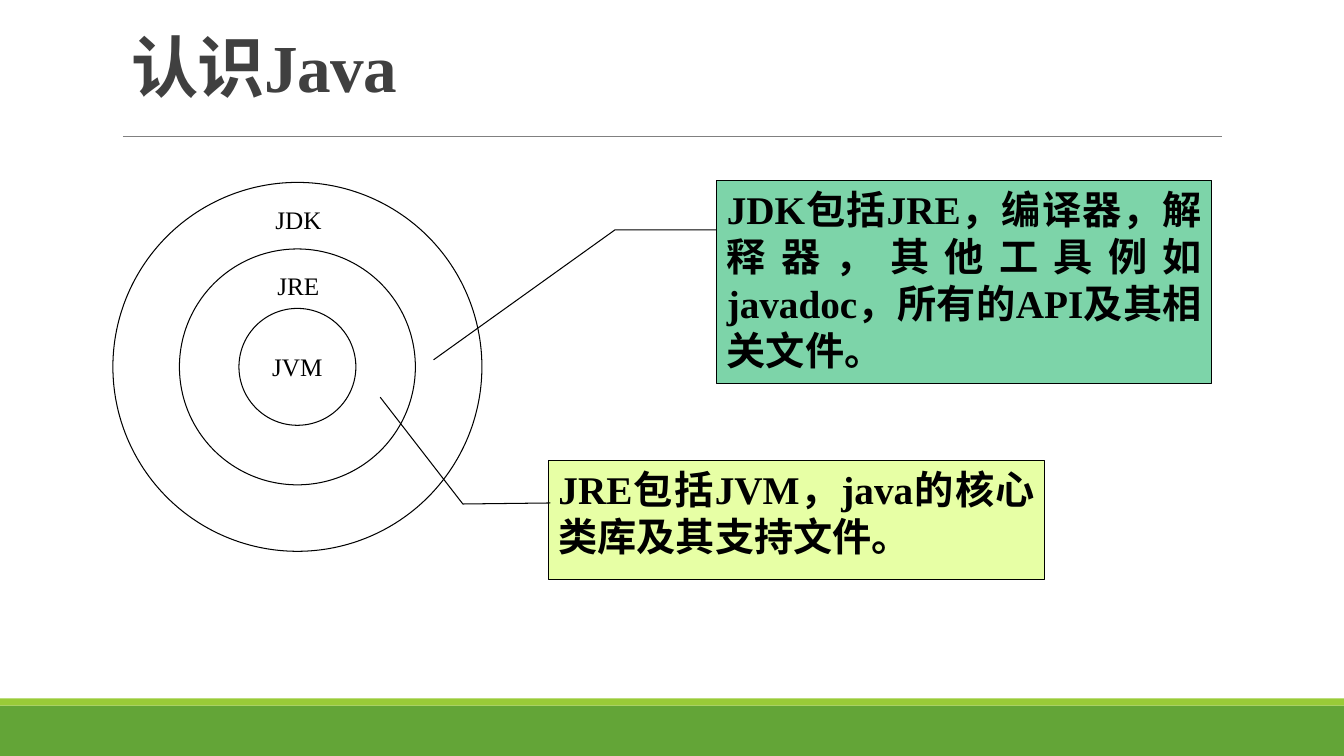
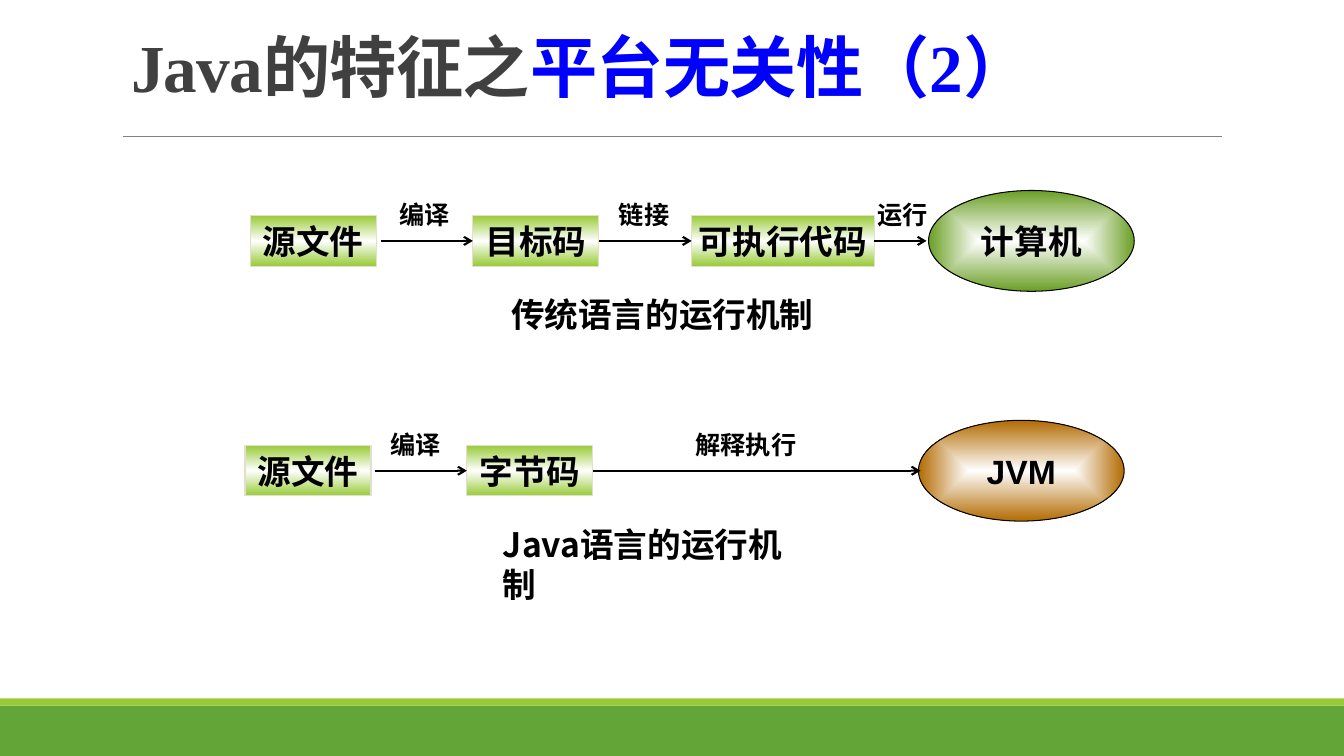
from pptx import Presentation
from pptx.dml.color import RGBColor as RGB
from pptx.enum.shapes import MSO_CONNECTOR as CONN, MSO_SHAPE as SHAPE
from pptx.enum.text import MSO_ANCHOR as ANCHOR, MSO_AUTO_SIZE as AUTO, PP_ALIGN as ALIGN
from pptx.oxml import parse_xml
from pptx.oxml.ns import nsdecls
from pptx.util import Pt
from lxml import etree

PX = 9144  # 100 px to the inch
W, H = 1333, 750

BLACK = RGB(0x00, 0x00, 0x00)
WHITE = RGB(0xFF, 0xFF, 0xFF)
INK = RGB(0x40, 0x40, 0x40)
BLUE = RGB(0x00, 0x00, 0xFF)
RULE = RGB(0x80, 0x80, 0x80)
GREEN = RGB(0x63, 0xA5, 0x37)
LIME = RGB(0x99, 0xCB, 0x38)
LEAF = RGB(0x6B, 0x9F, 0x25)
BROWN = RGB(0xB2, 0x6B, 0x02)
BEIGE = RGB(0xE2, 0xDF, 0xCC)
MINT = RGB(0x7D, 0xD4, 0xA9)
LEMON = RGB(0xE7, 0xFF, 0xA5)

SERIF, SANS, CJK = "Times New Roman", "Arial", "Noto Sans CJK SC"
LINEAR = '<a:lin ang="5400000" scaled="0"/>'
RADIAL = ('<a:path path="shape"><a:fillToRect l="50000" t="50000" '
          'r="50000" b="50000"/></a:path>')


class Deck:
    """The style, and the slide being drawn."""

    def __init__(self):
        self.prs = Presentation()
        self.prs.slide_width, self.prs.slide_height = W * PX, H * PX
        self.s = None

    def slide(self, *title):
        """Start a slide; title is a series of (text, colour) runs."""
        self.s = self.prs.slides.add_slide(self.prs.slide_layouts[5])
        self.shape(SHAPE.RECTANGLE, 0, 700, W, 50, GREEN)
        self.shape(SHAPE.RECTANGLE, 0, 693, W, 7, LIME)
        self.line(122, 1212, 135, RULE, 0.5)
        sp = self.s.shapes.title
        sp.left, sp.top, sp.width, sp.height = (v * PX for v in (120, 32, 1100, 100))
        tf = sp.text_frame
        tf.word_wrap, tf.auto_size = True, AUTO.NONE
        tf.vertical_anchor = ANCHOR.TOP
        p = tf.paragraphs[0]
        p.alignment, p.line_spacing = ALIGN.LEFT, 0.85
        for text, color in title:
            r = self.run(p, text, 48, SERIF, True, color)
            r.font._element.set("spc", "-50")

    def run(self, p, text, size, font, bold=False, color=BLACK):
        r = p.add_run()
        r.text = text
        r.font.size, r.font.name, r.font.bold = Pt(size), font, bold
        r.font.color.rgb = color
        return r

    def shape(self, kind, x, y, w, h, fill=None, line=None):
        sp = self.s.shapes.add_shape(kind, x * PX, y * PX, w * PX, h * PX)
        sp.shadow.inherit = False
        if fill is None:
            sp.fill.background()
        else:
            sp.fill.solid()
            sp.fill.fore_color.rgb = fill
        if line is None:
            sp.line.fill.background()
        else:
            sp.line.color.rgb, sp.line.width = line, Pt(0.75)
        return sp

    def caption(self, sp, text, size, font, bold=True):
        """Write one centred line in a shape."""
        tf = sp.text_frame
        tf.word_wrap, tf.vertical_anchor = False, ANCHOR.MIDDLE
        p = tf.paragraphs[0]
        p.alignment = ALIGN.CENTER
        self.run(p, text, size, font, bold)

    def gradient(self, sp, colors, direction):
        """Fill with evenly spaced colours."""
        last = len(colors) - 1
        stops = "".join(f'<a:gs pos="{100000 * i // last}"><a:srgbClr val="{c}"/></a:gs>'
                        for i, c in enumerate(colors))
        sp.fill.background()
        blank = sp._element.spPr.find("{*}noFill")
        blank.getparent().replace(blank, parse_xml(
            f'<a:gradFill {nsdecls("a")} rotWithShape="1">'
            f'<a:gsLst>{stops}</a:gsLst>{direction}</a:gradFill>'))

    def text(self, x, y, w, h, text, size, font, bold=True, align=ALIGN.LEFT):
        tf = self.s.shapes.add_textbox(x * PX, y * PX, w * PX, h * PX).text_frame
        tf.word_wrap = True
        p = tf.paragraphs[0]
        p.alignment = align
        self.run(p, text, size, font, bold)

    def line(self, x1, x2, y, color=BLACK, width=1.5, arrow=False):
        """Draw a level line from x1 to x2."""
        c = self.s.shapes.add_connector(CONN.STRAIGHT, x1 * PX, y * PX, x2 * PX, y * PX)
        c.line.color.rgb, c.line.width = color, Pt(width)
        if arrow:
            ln = c.line._get_or_add_ln()
            ln.append(parse_xml(f'<a:tailEnd {nsdecls("a")} type="arrow"/>'))
        spPr = c._element.spPr
        etree.SubElement(spPr, spPr.find("{*}ln").tag.replace("}ln", "}effectLst"))

    def circle(self, cx, cy, radius):
        return self.shape(SHAPE.OVAL, cx - radius, cy - radius,
                          2 * radius, 2 * radius, line=BLACK)

    def callout(self, x, y, w, h, fill, text, leader):
        """Draw a note whose leader line runs through three points."""
        sp = self.shape(SHAPE.LINE_CALLOUT_2, x, y, w, h, fill, BLACK)
        for i, (px, py) in enumerate(leader):
            sp.adjustments[2 * i] = (py - y) / h
            sp.adjustments[2 * i + 1] = (px - x) / w
        tf = sp.text_frame
        tf.word_wrap, tf.vertical_anchor = True, ANCHOR.TOP
        p = tf.paragraphs[0]
        p.alignment = ALIGN.JUSTIFY
        self.run(p, text, 28, SERIF, True)

    def step(self, x, cy, w, text):
        sp = self.shape(SHAPE.RECTANGLE, x, cy - 25, w, 50, line=BEIGE)
        self.gradient(sp, (LIME, WHITE, LIME), LINEAR)
        self.caption(sp, text, 24, SANS)

    def machine(self, x, cy, text, color):
        sp = self.shape(SHAPE.OVAL, x, cy - 50, 204, 100, line=BLACK)
        self.gradient(sp, (WHITE, color), RADIAL)
        self.caption(sp, text, 24, SANS)

    def flow(self, cy, steps, arrows, machine):
        for x, w, text in steps:
            self.step(x, cy, w, text)
        self.machine(machine[0], cy, *machine[1:])
        for x1, x2, label_x, label_w, label in arrows:
            self.line(x1, x2, cy, arrow=True)
            self.text(label_x, cy - 46, label_w, 40, label, 18, SANS)


def java_parts(d):
    d.slide(("认识Java", INK))
    cx, cy = 295, 364
    for radius in (183, 117):
        d.circle(cx, cy, radius)
    d.caption(d.circle(cx, cy, 58), "JVM", 18, SERIF, False)
    for y, name in ((198, "JDK"), (263, "JRE")):
        d.text(cx - 49, y, 100, 40, name, 18, SERIF, False, ALIGN.CENTER)
    d.callout(544, 457, 492, 118, LEMON, "JRE包括JVM，java的核心类库及其支持文件。",
              ((546, 499), (459, 500), (377, 394)))
    d.callout(711, 179, 491, 201, MINT,
              "JDK包括JRE，编译器，解释器，其他工具例如javadoc，所有的API及其相关文件。",
              ((711, 228), (610, 228), (430, 357)))


def platform_independence(d):
    d.slide(("Java的特征之", INK), ("平台无关性（2）", BLUE))
    d.flow(239,
           ((248, 125, "源文件"), (469, 125, "目标码"), (686, 181, "可执行代码")),
           ((378, 469, 386, 73, "编译"), (594, 686, 604, 75, "链接"),
            (867, 919, 860, 75, "运行")),
           (921, "计算机", LEAF))
    d.text(497, 287, 325, 50, "传统语言的运行机制", 24, SANS)
    d.flow(467,
           ((243, 125, "源文件"), (463, 125, "字节码")),
           ((372, 463, 377, 73, "编译"), (588, 913, 680, 125, "解释执行")),
           (911, "JVM", BROWN))
    d.text(489, 515, 325, 50, "Java语言的运行机制", 24, CJK)


def main():
    d = Deck()
    java_parts(d)
    platform_independence(d)
    d.prs.save("out.pptx")


if __name__ == "__main__":
    main()
